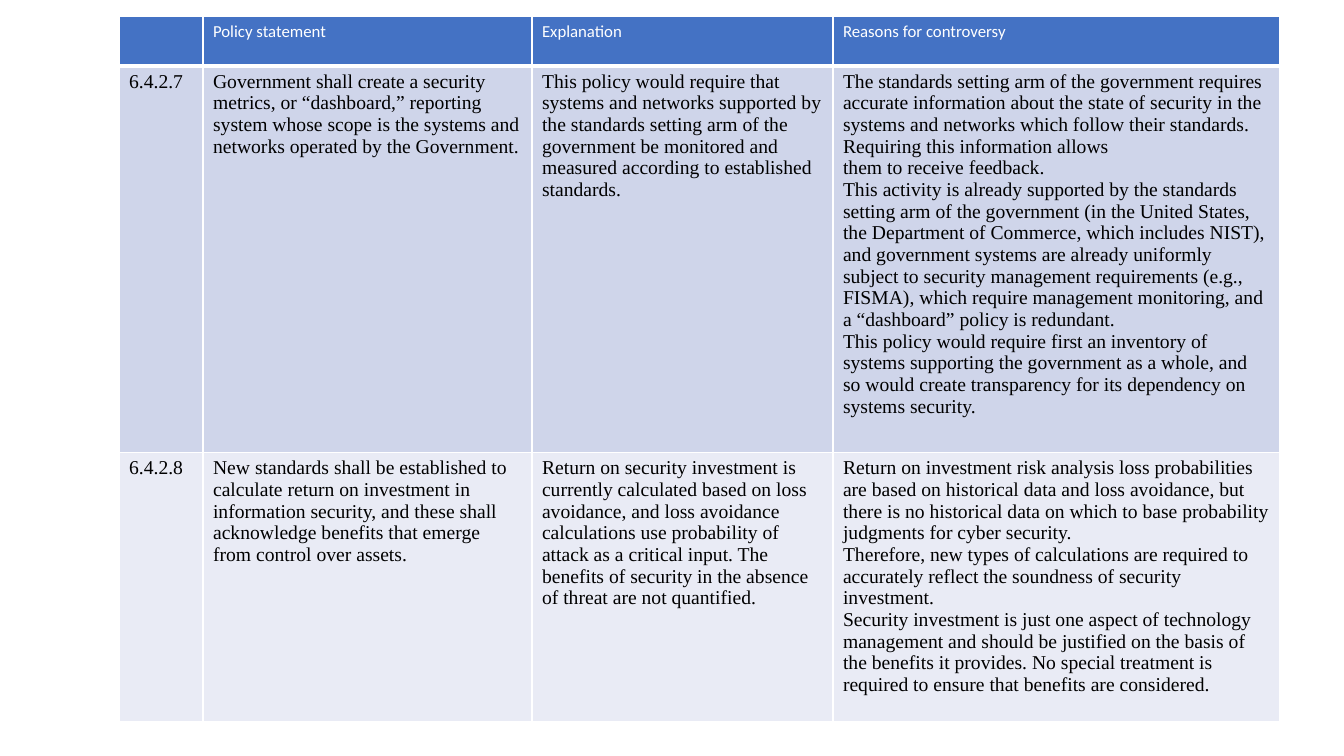
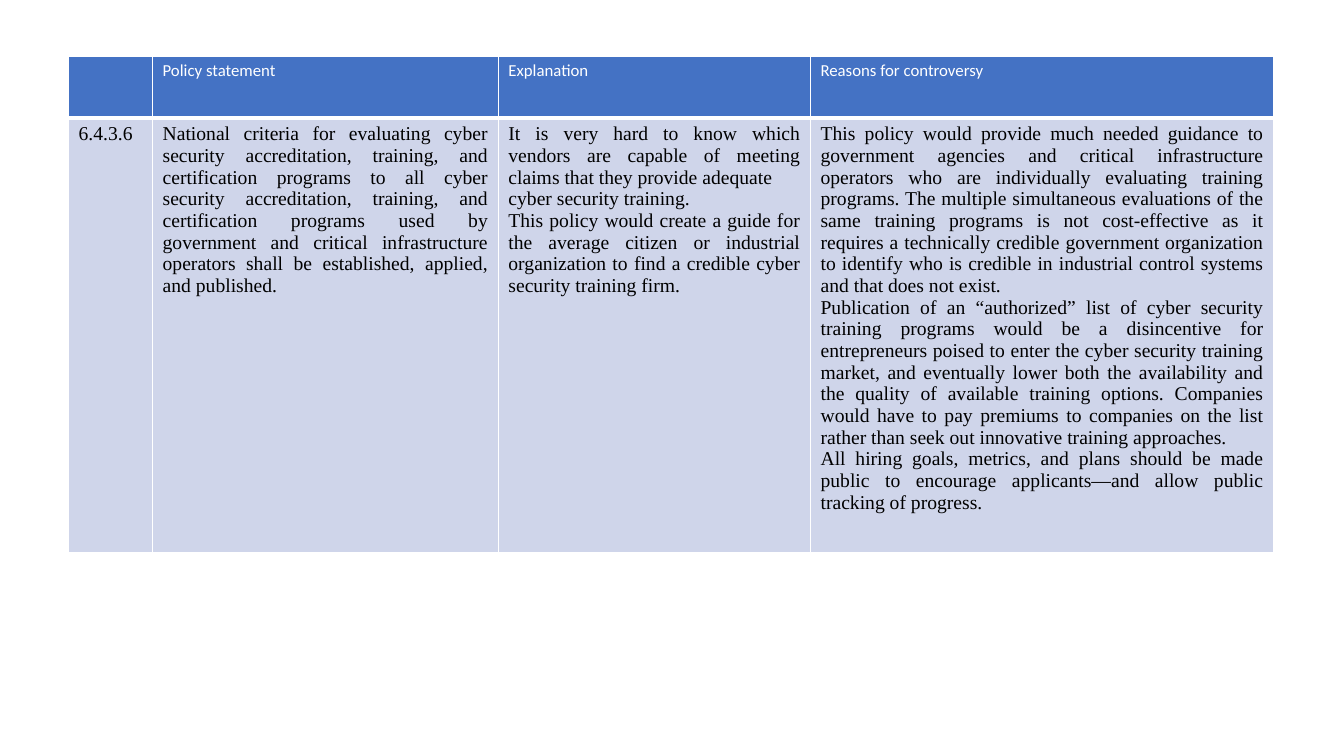
from dataclasses import dataclass

from lxml.etree import SubElement
from pptx import Presentation
from pptx.dml.color import RGBColor
from pptx.enum.text import PP_ALIGN
from pptx.oxml.ns import qn
from pptx.util import Pt


@dataclass(frozen=True)
class Theme:
    header_fill: str = "4472C4"
    band_fills: tuple[str, str] = ("CFD5EA", "E9EBF5")
    rule: str = "FFFFFF"
    header_text: str = "FFFFFF"
    body_text: str = "000000"
    header_font: str = "Calibri"
    body_font: str = "Times New Roman"
    header_size: float = 12
    body_size: float = 14
    thin_rule: float = 1
    thick_rule: float = 3


THEME = Theme()
HEADINGS = ("", "Policy statement", "Explanation", "Reasons for controversy")


@dataclass(frozen=True)
class Policy:
    """One table row; each column after the number holds its paragraphs."""
    number: str
    statement: tuple[str, ...]
    explanation: tuple[str, ...]
    controversy: tuple[str, ...]

    def columns(self) -> tuple[tuple[str, ...], ...]:
        return (self.number,), self.statement, self.explanation, self.controversy


@dataclass(frozen=True)
class PolicyTable:
    left: float
    top: float
    columns: tuple[float, ...]
    rows: tuple[float, ...]
    policies: tuple[Policy, ...]
    align: PP_ALIGN = PP_ALIGN.LEFT


POLICY_TABLES = (
    PolicyTable(
        left=85, top=11.5,
        columns=(60, 235, 215, 319), rows=(35.5, 276, 192.5),
        policies=(
            Policy(
                "6.4.2.7",
                ("Government shall create a security metrics, or “dashboard,” reporting "
                 "system whose scope is the systems and networks operated by the "
                 "Government.",),
                ("This policy would require that systems and networks supported by the "
                 "standards setting arm of the",
                 "government be monitored and measured according to established "
                 "standards."),
                ("The standards setting arm of the government requires accurate "
                 "information about the state of security in the systems and networks "
                 "which follow their standards. Requiring this information allows",
                 "them to receive feedback.",
                 "This activity is already supported by the standards setting arm of the "
                 "government (in the United States, the Department of Commerce, which "
                 "includes NIST), and government systems are already uniformly subject to "
                 "security management requirements (e.g., FISMA), which require management "
                 "monitoring, and a “dashboard” policy is redundant.",
                 "This policy would require first an inventory of systems supporting the "
                 "government as a whole, and so would create transparency for its "
                 "dependency on systems security."),
            ),
            Policy(
                "6.4.2.8",
                ("New standards shall be established to calculate return on investment in "
                 "information security, and these shall",
                 "acknowledge benefits that emerge from control over assets."),
                ("Return on security investment is currently calculated based on loss "
                 "avoidance, and loss avoidance calculations use probability of attack as "
                 "a critical input. The benefits of security in the absence of threat are "
                 "not quantified.",),
                ("Return on investment risk analysis loss probabilities are based on "
                 "historical data and loss avoidance, but there is no historical data on "
                 "which to base probability judgments for cyber security.",
                 "Therefore, new types of calculations are required to accurately reflect "
                 "the soundness of security investment.",
                 "Security investment is just one aspect of technology management and "
                 "should be justified on the basis of the benefits it provides. No special "
                 "treatment is required to ensure that benefits are considered."),
            ),
        ),
    ),
    PolicyTable(
        left=49, top=40,
        columns=(60, 247, 223, 331), rows=(44.5, 310),
        policies=(
            Policy(
                "6.4.3.6",
                ("National criteria for evaluating cyber security accreditation, training, "
                 "and certification programs to all cyber security accreditation, "
                 "training, and certification programs used by government and critical "
                 "infrastructure operators shall be established, applied, and published.",),
                ("It is very hard to know which vendors are capable of meeting claims that "
                 "they provide adequate",
                 "cyber security training.",
                 "This policy would create a guide for the average citizen or industrial "
                 "organization to find a credible cyber security training firm."),
                ("This policy would provide much needed guidance to government agencies "
                 "and critical infrastructure operators who are individually evaluating "
                 "training programs. The multiple simultaneous evaluations of the same "
                 "training programs is not cost-effective as it requires a technically "
                 "credible government organization to identify who is credible in "
                 "industrial control systems and that does not exist.",
                 "Publication of an “authorized” list of cyber security training programs "
                 "would be a disincentive for entrepreneurs poised to enter the cyber "
                 "security training market, and eventually lower both the availability and "
                 "the quality of available training options. Companies would have to pay "
                 "premiums to companies on the list rather than seek out innovative "
                 "training approaches.",
                 "All hiring goals, metrics, and plans should be made public to encourage "
                 "applicants—and allow public tracking of progress."),
            ),
        ),
        align=PP_ALIGN.JUSTIFY,
    ),
)


def write_text(frame, lines: tuple[str, ...], *, font: str, size: float, color: str,
               align: PP_ALIGN = PP_ALIGN.LEFT) -> None:
    for index, line in enumerate(lines):
        paragraph = frame.add_paragraph() if index else frame.paragraphs[0]
        paragraph.alignment = align
        run = paragraph.add_run()
        run.text = line
        run.font.name = font
        run.font.size = Pt(size)
        run.font.bold = False
        run.font.color.rgb = RGBColor.from_string(color)


def paint_cell(cell, fill: str, top_rule: float, bottom_rule: float) -> None:
    # Borders come before the fill in the cell properties
    properties = cell._tc.get_or_add_tcPr()
    thin = THEME.thin_rule
    for side, width in (("L", thin), ("R", thin), ("T", top_rule), ("B", bottom_rule)):
        line = SubElement(properties, qn(f"a:ln{side}"), w=str(Pt(width)))
        SubElement(SubElement(line, qn("a:solidFill")), qn("a:srgbClr"), val=THEME.rule)
    cell.fill.solid()
    cell.fill.fore_color.rgb = RGBColor.from_string(fill)


def draw_policy_table(slide, layout: PolicyTable) -> None:
    grid = slide.shapes.add_table(
        len(layout.rows), len(layout.columns), Pt(layout.left), Pt(layout.top),
        Pt(sum(layout.columns)), Pt(sum(layout.rows))).table
    grid.first_row = grid.horz_banding = False
    for column, width in zip(grid.columns, layout.columns):
        column.width = Pt(width)
    for row, height in zip(grid.rows, layout.rows):
        row.height = Pt(height)

    # Header row
    for cell, heading in zip(grid.rows[0].cells, HEADINGS):
        paint_cell(cell, THEME.header_fill, THEME.thin_rule, THEME.thick_rule)
        if heading:
            write_text(cell.text_frame, (heading,), font=THEME.header_font,
                       size=THEME.header_size, color=THEME.header_text)

    # Policy rows, in alternating bands
    for index, policy in enumerate(layout.policies):
        top_rule = THEME.thin_rule if index else THEME.thick_rule
        for cell, lines in zip(grid.rows[index + 1].cells, policy.columns()):
            paint_cell(cell, THEME.band_fills[index % 2], top_rule, THEME.thin_rule)
            write_text(cell.text_frame, lines, font=THEME.body_font,
                       size=THEME.body_size, color=THEME.body_text, align=layout.align)


def main() -> None:
    deck = Presentation()
    deck.slide_width, deck.slide_height = Pt(960), Pt(540)
    blank = deck.slide_layouts[6]
    for layout in POLICY_TABLES:
        draw_policy_table(deck.slides.add_slide(blank), layout)
    deck.save("out.pptx")


if __name__ == "__main__":
    main()
